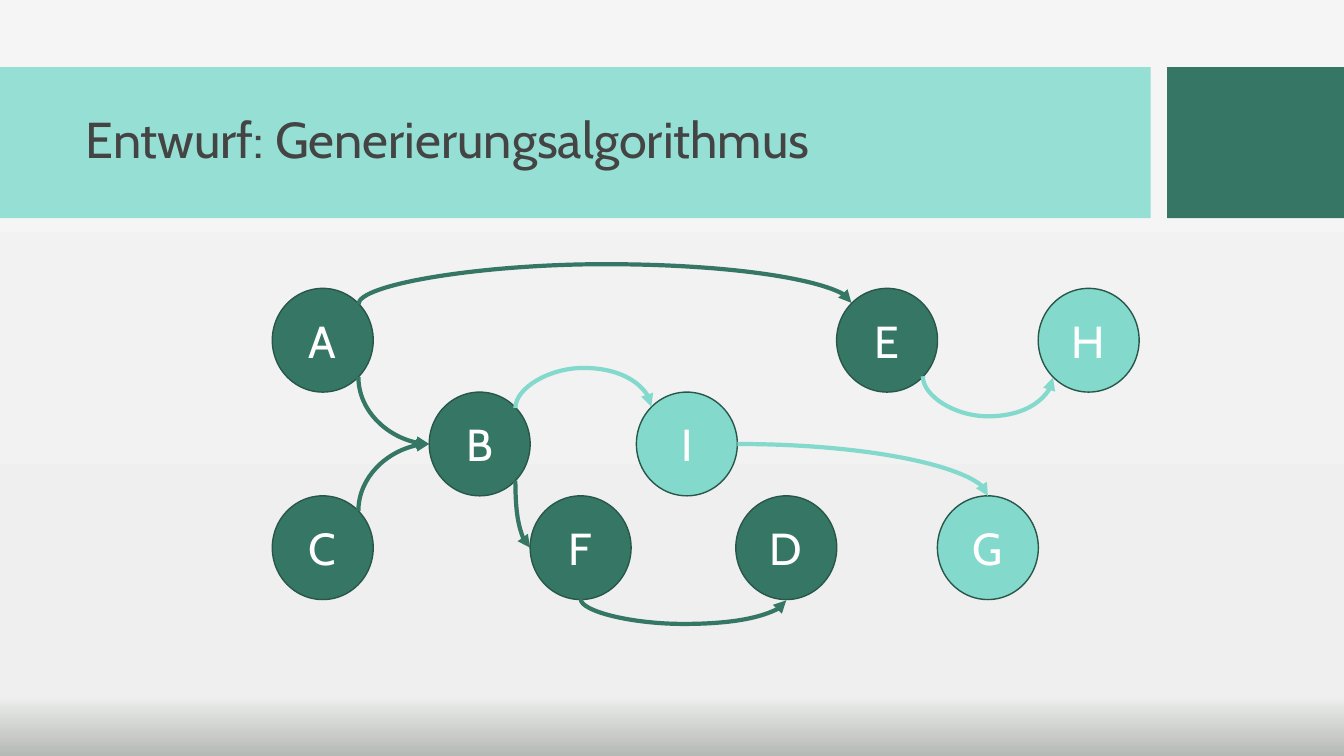
from copy import deepcopy
from dataclasses import dataclass
from math import cos, pi, sin

from lxml.etree import SubElement
from pptx import Presentation
from pptx.dml.color import RGBColor
from pptx.enum.shapes import MSO_CONNECTOR, MSO_SHAPE
from pptx.enum.text import MSO_ANCHOR, PP_ALIGN
from pptx.oxml.ns import qn
from pptx.util import Pt


@dataclass(frozen=True)
class Theme:
    font: str = "Cabin"
    title_size: int = 36
    node_size: int = 32
    dark: str = "367664"
    light: str = "83D9CC"
    banner: str = "96DFD4"
    outline: str = "28574A"
    title: str = "434443"
    white: str = "FFFFFF"
    background: tuple = ((0, "B5B9B5"), (0.08, "EEEFEE"), (1, "F4F5F4"))


THEME = Theme()
NODE_WIDTH, NODE_HEIGHT = 72.1, 74.1
FIRST_ROW = 206
TOP, TOP_LEFT, LEFT, BOTTOM_LEFT, BOTTOM, BOTTOM_RIGHT, RIGHT, TOP_RIGHT = range(8)

NODES = [
    ("A", 194.5, 0, THEME.dark),
    ("B", 306.6, 1, THEME.dark),
    ("C", 194.5, 2, THEME.dark),
    ("D", 525.6, 2, THEME.dark),
    ("E", 597.6, 0, THEME.dark),
    ("F", 378.7, 2, THEME.dark),
    ("I", 454.6, 1, THEME.light),
    ("G", 669.6, 2, THEME.light),
    ("H", 741.6, 0, THEME.light),
]
BENDS = [
    ("A", BOTTOM_RIGHT, "B", LEFT, "down", THEME.dark),
    ("C", TOP_RIGHT, "B", LEFT, "up", THEME.dark),
    ("B", BOTTOM_RIGHT, "F", LEFT, "down", THEME.dark),
    ("I", RIGHT, "G", TOP, "right", THEME.light),
]
ARCS = [
    ("A", TOP_RIGHT, "E", TOP_LEFT, "up", THEME.dark, 28.84),
    ("F", BOTTOM, "D", BOTTOM, "down", THEME.dark, 18),
    ("B", TOP_RIGHT, "I", TOP_LEFT, "up", THEME.light, 28.84),
    ("E", BOTTOM_RIGHT, "H", BOTTOM_LEFT, "down", THEME.light, 28.84),
]
ORIENTATIONS = {
    "right": {},
    "down": {"rot": "16200000", "flipH": "1"},
    "up": {"rot": "5400000", "flipH": "1", "flipV": "1"},
}


def write_text(frame, text, *, size, color, align):
    frame.word_wrap = True
    frame.vertical_anchor = MSO_ANCHOR.MIDDLE
    para = frame.paragraphs[0]
    para.alignment = align
    span = para.add_run()
    span.text = text
    span.font.name = THEME.font
    span.font.size = Pt(size)
    span.font.color.rgb = RGBColor.from_string(color)
    return para


def add_filled_shape(page, kind, left, top, width, height, color):
    shape = page.shapes.add_shape(kind, Pt(left), Pt(top), Pt(width), Pt(height))
    shape.shadow.inherit = False
    shape.fill.solid()
    shape.fill.fore_color.rgb = RGBColor.from_string(color)
    shape.line.fill.background()
    return shape


def add_node(page, label, left, row, color):
    top = FIRST_ROW + row * NODE_HEIGHT
    node = add_filled_shape(page, MSO_SHAPE.OVAL, left, top, NODE_WIDTH, NODE_HEIGHT, color)
    node.line.color.rgb = RGBColor.from_string(THEME.outline)
    node.line.width = Pt(1)
    write_text(node.text_frame, label, size=THEME.node_size, color=THEME.white,
               align=PP_ALIGN.CENTER)
    return node


def site_position(node, site):
    angle = site * pi / 4
    horizontal = node.left.pt + node.width.pt * (1 - sin(angle)) / 2
    vertical = node.top.pt + node.height.pt * (1 - cos(angle)) / 2
    return horizontal, vertical


def add_curve(page, source, source_site, target, target_site, heading, color, sag=None):
    start_x, start_y = site_position(source, source_site)
    end_x, end_y = site_position(target, target_site)
    across = abs(end_x - start_x)
    down = 1 if sag else abs(end_y - start_y)
    width, height = (across, down) if heading == "right" else (down, across)
    left = (start_x + end_x - width) / 2
    top = (start_y + end_y - height) / 2
    curve = page.shapes.add_connector(
        MSO_CONNECTOR.CURVE, Pt(left), Pt(top), Pt(left + width), Pt(top + height))
    curve.line.color.rgb = RGBColor.from_string(color)
    curve.line.width = Pt(3)
    properties = curve.element.spPr
    SubElement(properties.find(qn("a:ln")), qn("a:tailEnd"), type="triangle")
    SubElement(properties, qn("a:effectLst"))
    for name, value in ORIENTATIONS[heading].items():
        properties.find(qn("a:xfrm")).set(name, value)
    geometry = properties.find(qn("a:prstGeom"))
    if sag:
        SubElement(geometry.find(qn("a:avLst")), qn("a:gd"), name="adj1",
                   fmla=f"val {round(sag * 100000)}")
    else:
        geometry.set("prst", "curvedConnector2")
    joints = next(curve.element.iter(qn("p:cNvCxnSpPr")))
    for tag, node, site in (("a:stCxn", source, source_site), ("a:endCxn", target, target_site)):
        SubElement(joints, qn(tag), id=str(node.shape_id), idx=str(site))


def paint_background(page):
    fill = page.background.fill
    fill.gradient()
    fill.gradient_angle = 90
    first_stop = next(page.element.iter(qn("a:gs")))
    first_stop.addnext(deepcopy(first_stop))
    for stop, (position, color) in zip(fill.gradient_stops, THEME.background):
        stop.position = position
        stop.color.rgb = RGBColor.from_string(color)


def add_title(page, text):
    add_filled_shape(page, MSO_SHAPE.RECTANGLE, 0, 48, 822, 107.8, THEME.banner)
    add_filled_shape(page, MSO_SHAPE.RECTANGLE, 833.7, 48, 126.2, 107.8, THEME.dark)
    title = page.shapes.title
    title.left, title.top, title.width, title.height = Pt(54), Pt(59.3), Pt(756.5), Pt(85)
    para = write_text(title.text_frame, text, size=THEME.title_size, color=THEME.title,
                      align=PP_ALIGN.LEFT)
    para.line_spacing = 0.9
    page.shapes.element.append(title.element)


def main():
    deck = Presentation()
    deck.slide_width, deck.slide_height = Pt(960), Pt(540)
    page = deck.slides.add_slide(deck.slide_layouts.get_by_name("Title Only"))
    paint_background(page)
    add_title(page, "Entwurf: Generierungsalgorithmus")
    nodes = {node[0]: add_node(page, *node) for node in NODES}
    for source, source_site, target, target_site, *style in BENDS + ARCS:
        add_curve(page, nodes[source], source_site, nodes[target], target_site, *style)
    deck.save("out.pptx")


if __name__ == "__main__":
    main()
